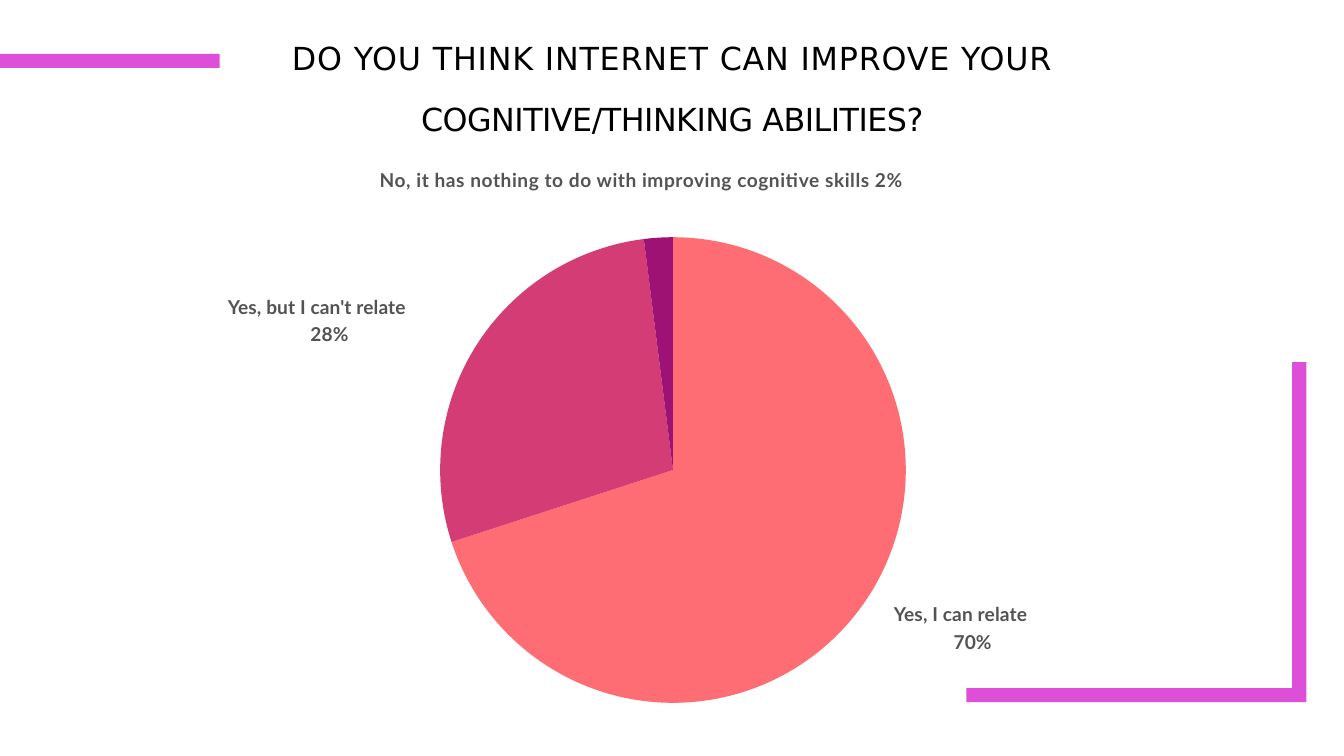
from typing import NamedTuple

from lxml import etree
from pptx import Presentation
from pptx import util as u
from pptx.chart.data import CategoryChartData
from pptx.dml.color import RGBColor
from pptx.enum import chart as charts, shapes, text

# Grid: 200 columns by 112.5 rows of square cells
WIDTH, HEIGHT = u.Inches(20), u.Inches(11.25)
CELL = WIDTH / 200

ACCENT = "DD4ED9"
LABEL_COLOUR = "535353"


class Box(NamedTuple):
    column: float
    row: float
    columns: float
    rows: float


class Line(NamedTuple):
    words: str
    tracking: float  # points between letters
    space_before: float  # points


class Style(NamedTuple):
    font: str
    size: float
    colour: str
    bold: bool
    centred: bool
    line_spacing: float


class Answer(NamedTuple):
    name: str
    share: float
    colour: str
    label: Box
    hanging: float  # cells by which the second line is indented
    tracking: float


TITLE_STYLE = Style("DejaVu Sans", 34, "000000", False, True, 1)
LABEL_STYLE = Style("Lato", 20.5, LABEL_COLOUR, True, False, 1.18)

TITLE = [
    Line("DO YOU THINK INTERNET CAN IMPROVE YOUR", 0.92, 1),
    Line("COGNITIVE/THINKING ABILITIES?", -0.5, 25.2),
]
ANSWERS = [
    Answer("Yes, I can relate", 0.70, "FE6D73", Box(133, 89, 24.1, 8.3), 8.9, 0.13),
    Answer("Yes, but I can't relate", 0.28, "D33C74", Box(33.9, 43.2, 31.9, 8.3), 12.3, 0.1),
    Answer("No, it has nothing to do with improving cognitive skills", 0.02, "9D1274",
           Box(56.5, 24.3, 82.2, 8.3), 0, 0.6),
]


def cells(count: float) -> int:
    return round(count * CELL)


def place(box: Box) -> list[int]:
    return [cells(length) for length in box]


def colour(hex_value: str) -> RGBColor:
    return RGBColor.from_string(hex_value)


def paint(shape, hex_value: str) -> None:
    shape.shadow.inherit = False
    shape.fill.solid()
    shape.fill.fore_color.rgb = colour(hex_value)
    shape.line.fill.background()


def add_text(slide, box: Box, lines: list[Line], style: Style, hanging: float = 0) -> None:
    frame = slide.shapes.add_textbox(*place(box)).text_frame
    frame.word_wrap = True
    frame.auto_size = text.MSO_AUTO_SIZE.SHAPE_TO_FIT_TEXT
    frame.margin_left = frame.margin_right = frame.margin_bottom = 0
    frame.margin_top = u.Inches(0.01)
    for index, line in enumerate(lines):
        paragraph = frame.add_paragraph() if index else frame.paragraphs[0]
        paragraph.text = line.words
        paragraph.alignment = text.PP_ALIGN.CENTER if style.centred else text.PP_ALIGN.LEFT
        paragraph.line_spacing = style.line_spacing
        paragraph.space_before = u.Pt(line.space_before)
        font = paragraph.font
        font.name, font.size, font.bold = style.font, u.Pt(style.size), style.bold
        font.color.rgb = colour(style.colour)
        # Letter spacing and hanging indent
        properties = paragraph._p.get_or_add_pPr()
        properties.get_or_add_defRPr().set("spc", str(round(line.tracking * 100)))
        if hanging:
            properties.set("marL", str(cells(hanging)))
            properties.set("indent", str(-cells(hanging)))


def add_pie(slide, box: Box, answers: list[Answer]) -> None:
    data = CategoryChartData(number_format="0%")
    data.categories = [answer.name for answer in answers]
    data.add_series("Answers", [answer.share for answer in answers])
    chart = slide.shapes.add_chart(charts.XL_CHART_TYPE.PIE, *place(box), data).chart
    chart.has_title = chart.has_legend = False
    chart.font.name, chart.font.size = LABEL_STYLE.font, u.Pt(LABEL_STYLE.size)
    chart.font.color.rgb = colour(LABEL_COLOUR)
    plot = chart.plots[0]
    plot.vary_by_categories = True
    for index, answer in enumerate(answers):
        point = plot.series[0].points[index].format
        point.fill.solid()
        point.fill.fore_color.rgb = colour(answer.colour)
        point.line.fill.background()
    # Let the pie fill its whole frame
    area = chart._chartSpace.chart.plotArea
    namespace = area.nsmap["c"]
    for old in area.findall(f"{{{namespace}}}layout"):
        area.remove(old)
    layout = etree.Element(f"{{{namespace}}}layout")
    manual = etree.SubElement(layout, f"{{{namespace}}}manualLayout")
    settings = {"layoutTarget": "inner", "xMode": "edge", "yMode": "edge",
                "x": "0", "y": "0", "w": "1", "h": "1"}
    for tag, value in settings.items():
        etree.SubElement(manual, f"{{{namespace}}}{tag}").set("val", value)
    area.insert(0, layout)


def add_corner(slide, box: Box, thickness: float) -> None:
    left, top = box.column, box.row
    right, bottom = left + box.columns, top + box.rows
    inner_x, inner_y = right - thickness, bottom - thickness
    corners = [(right, top), (inner_x, top), (inner_x, inner_y),
               (left, inner_y), (left, bottom), (right, bottom)]
    start, *rest = [(cells(x), cells(y)) for x, y in corners]
    builder = slide.shapes.build_freeform(*start)
    builder.add_line_segments(rest, close=True)
    paint(builder.convert_to_shape(), ACCENT)


def main() -> None:
    presentation = Presentation()
    presentation.slide_width, presentation.slide_height = WIDTH, HEIGHT
    slide = presentation.slides.add_slide(presentation.slide_layouts[6])

    # Pie and its labels
    add_pie(slide, Box(65.5, 35.3, 69.3, 69.3), ANSWERS)
    for answer in ANSWERS:
        line = Line(f"{answer.name} {answer.share:.0%}", answer.tracking, 0.9)
        add_text(slide, answer.label, [line], LABEL_STYLE, answer.hanging)

    # Accent bar and corner
    bar = slide.shapes.add_shape(shapes.MSO_SHAPE.RECTANGLE, *place(Box(0, 8, 32.7, 2.1)))
    paint(bar, ACCENT)
    add_corner(slide, Box(143.8, 53.9, 50.6, 50.6), 2.1)

    # Title
    add_text(slide, Box(42.8, 5.6, 114.5, 15.1), TITLE, TITLE_STYLE)

    presentation.save("out.pptx")


if __name__ == "__main__":
    main()
